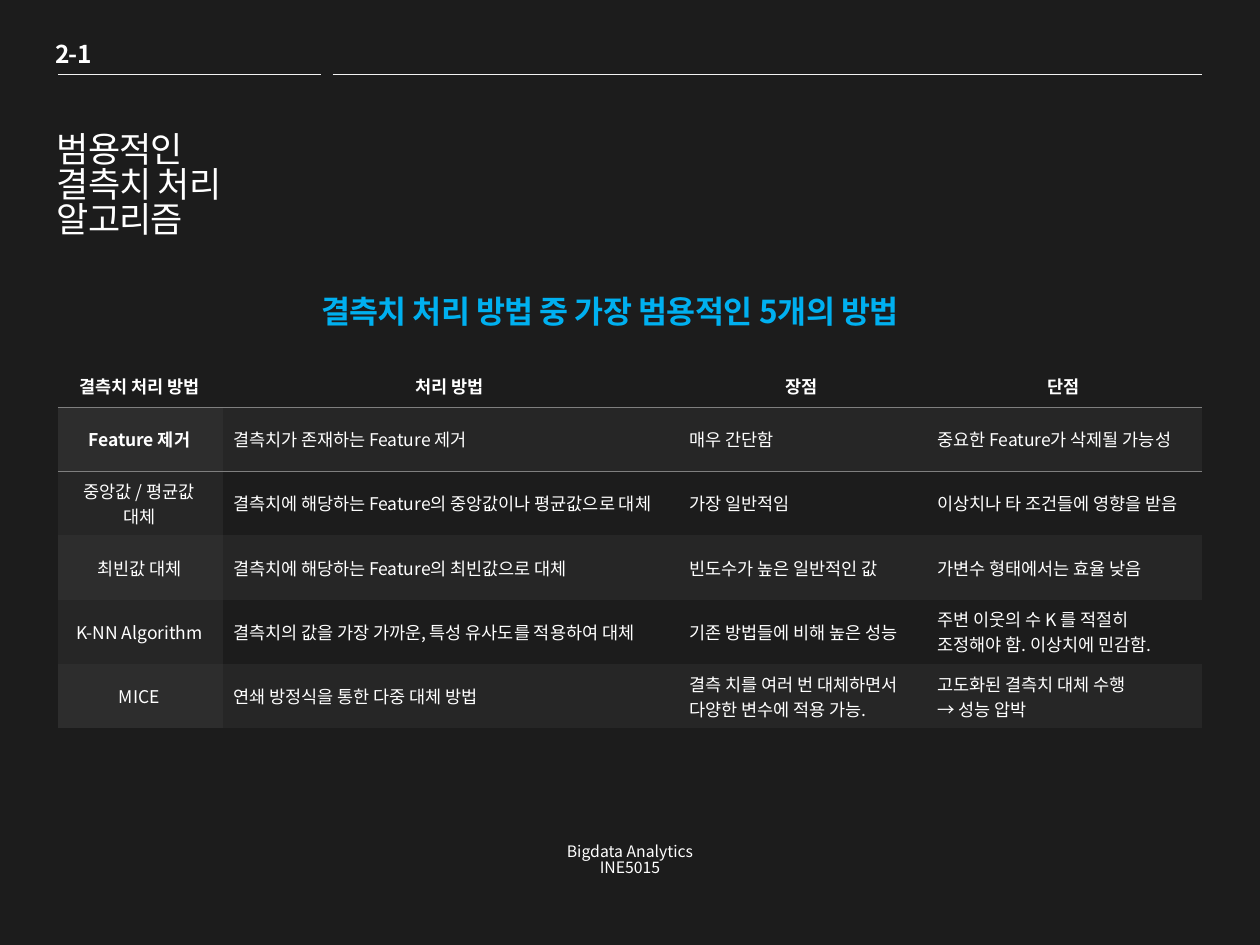
from pptx import Presentation
from pptx.dml import color
from pptx.enum import shapes, text
from pptx.oxml import ns, xmlchemy
from pptx.util import Inches, Pt

FACE = "Noto Sans CJK KR"
ROWS = [
    ["결측치 처리 방법", "처리 방법", "장점", "단점"],
    ["Feature 제거", "결측치가 존재하는 Feature 제거", "매우 간단함",
     "중요한 Feature가 삭제될 가능성"],
    ["중앙값 / 평균값\n대체", "결측치에 해당하는 Feature의 중앙값이나 평균값으로 대체",
     "가장 일반적임", "이상치나 타 조건들에 영향을 받음"],
    ["최빈값 대체", "결측치에 해당하는 Feature의 최빈값으로 대체",
     "빈도수가 높은 일반적인 값", "가변수 형태에서는 효율 낮음"],
    ["K-NN Algorithm", "결측치의 값을 가장 가까운, 특성 유사도를 적용하여 대체",
     "기존 방법들에 비해 높은 성능", "주변 이웃의 수 K 를 적절히 조정해야 함. 이상치에 민감함."],
    ["MICE", "연쇄 방정식을 통한 다중 대체 방법",
     "결측 치를 여러 번 대체하면서 다양한 변수에 적용 가능.",
     "고도화된 결측치 대체 수행\n→ 성능 압박"],
]


def rgb(code):
    return color.RGBColor.from_string(code)


def add_tag(parent, tag, **attrs):
    node = xmlchemy.OxmlElement(tag)
    for key, value in attrs.items():
        node.set(key, value)
    parent.append(node)
    return node


def put_text(frame, words, size, tint="FFFFFF", bold=False, align="LEFT", track=0, lead=None):
    frame.text = words
    for para in frame.paragraphs:
        para.alignment = getattr(text.PP_ALIGN, align)
        para.line_spacing = lead
        for run in para.runs:
            for key, value in {"size": Pt(size), "bold": bold, "name": FACE}.items():
                setattr(run.font, key, value)
            run.font.color.rgb = rgb(tint)
            props = run.font._element
            props.set("spc", str(track))
            add_tag(props, "a:ea", typeface=FACE)


def add_label(slide, box, words, size, wrap=True, **style):
    frame = slide.shapes.add_textbox(*map(Inches, box)).text_frame
    frame.word_wrap = wrap
    put_text(frame, words, size, **style)


def add_title(slide, box, words):
    title = slide.shapes.title
    for key, value in zip(("left", "top", "width", "height"), box):
        setattr(title, key, Inches(value))
    frame = title.text_frame
    frame.vertical_anchor = text.MSO_ANCHOR.TOP
    frame.word_wrap = True
    frame.auto_size = text.MSO_AUTO_SIZE.NONE
    frame.text = ""
    put_text(frame, words, 20, track=-50, lead=0.83)


def add_rule(slide, start, end, top):
    ends = map(Inches, (start, top, end, top))
    rule = slide.shapes.add_connector(shapes.MSO_CONNECTOR.STRAIGHT, *ends)
    rule.line.color.rgb = rgb("F2F2F2")
    rule.line.width = Pt(0.25)
    add_tag(rule._element.spPr, "a:effectLst")


def set_edge(cell, tag, tint):
    props = cell._tc.get_or_add_tcPr()
    edge = xmlchemy.OxmlElement(tag)
    edge.set("w", str(Pt(0.25)))
    add_tag(add_tag(edge, "a:solidFill"), "a:srgbClr", val=tint)
    props.insert(0, edge)


def fill_cell(cell, row, col, words):
    insets = {"left": 0.08, "top": 0.05, "right": 0.1, "bottom": 0.05}
    for side, gap in insets.items():
        setattr(cell, "margin_" + side, Inches(gap))
    cell.vertical_anchor = text.MSO_ANCHOR.MIDDLE
    head = row == 0
    put_text(cell.text_frame, words, 10, bold=head or (row, col) == (1, 0),
             align="CENTER" if head or col == 0 else "LEFT")
    shade = 0 if head else row % 2 + (col == 0)
    if shade:
        cell.fill.solid()
        cell.fill.fore_color.rgb = rgb(("262626", "2D2D2D")[shade - 1])
    else:
        cell.fill.background()
    if row < 2:
        set_edge(cell, "a:lnB" if head else "a:lnT", "7F7F7F")


def add_grid(slide, box, widths):
    frame = slide.shapes.add_table(len(ROWS), len(widths), *map(Inches, box))
    grid = frame.table
    grid.first_row = grid.horz_banding = False
    style = grid._tbl.tblPr.find(ns.qn("a:tableStyleId"))
    style.text = "{2D5ABB26-0587-4C30-8999-92F81FD0307C}"
    for col, width in zip(grid.columns, widths):
        col.width = Inches(width)
    for row, words in enumerate(ROWS):
        grid.rows[row].height = Inches(0.51 if row else 0.33)
        for col, item in enumerate(words):
            fill_cell(grid.cell(row, col), row, col, item)


def main():
    deck = Presentation()
    deck.slide_width, deck.slide_height = Inches(10), Inches(7.5)
    slide = deck.slides.add_slide(deck.slide_layouts[0])
    slide.background.fill.solid()
    slide.background.fill.fore_color.rgb = rgb("1C1C1C")
    sub = slide.placeholders[1]._element
    sub.getparent().remove(sub)

    add_label(slide, (2.45, 2.27, 5.1, 0.4), "결측치 처리 방법 중 가장 범용적인 5개의 방법",
              18, tint="00B0F0", bold=True, track=-30)
    add_label(slide, (0.34, 0.26, 0.49, 0.34), "2-1", 14, wrap=False, bold=True, track=-50)
    for start, end in ((0.46, 2.55), (2.64, 9.54)):
        add_rule(slide, start, end, 0.59)
    add_title(slide, (0.35, 1.02, 2.2, 1.61), "범용적인\v결측치 처리\v알고리즘")
    add_label(slide, (0, 6.66, 10, 0.4), "Bigdata Analytics\nINE5015", 9,
              align="CENTER", lead=0.83)
    add_grid(slide, (0.46, 2.9, 9.08, 2.89), (1.31, 3.62, 1.97, 2.18))
    deck.save("out.pptx")


if __name__ == "__main__":
    main()
